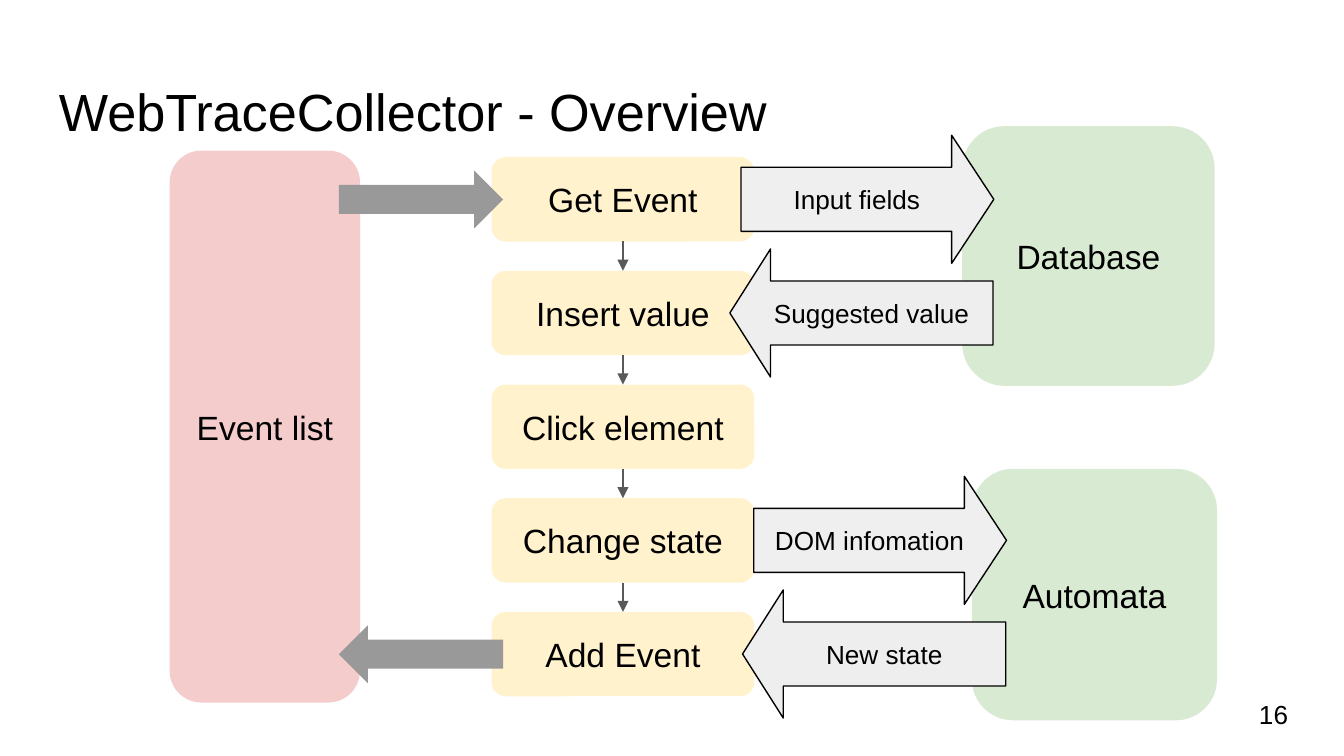
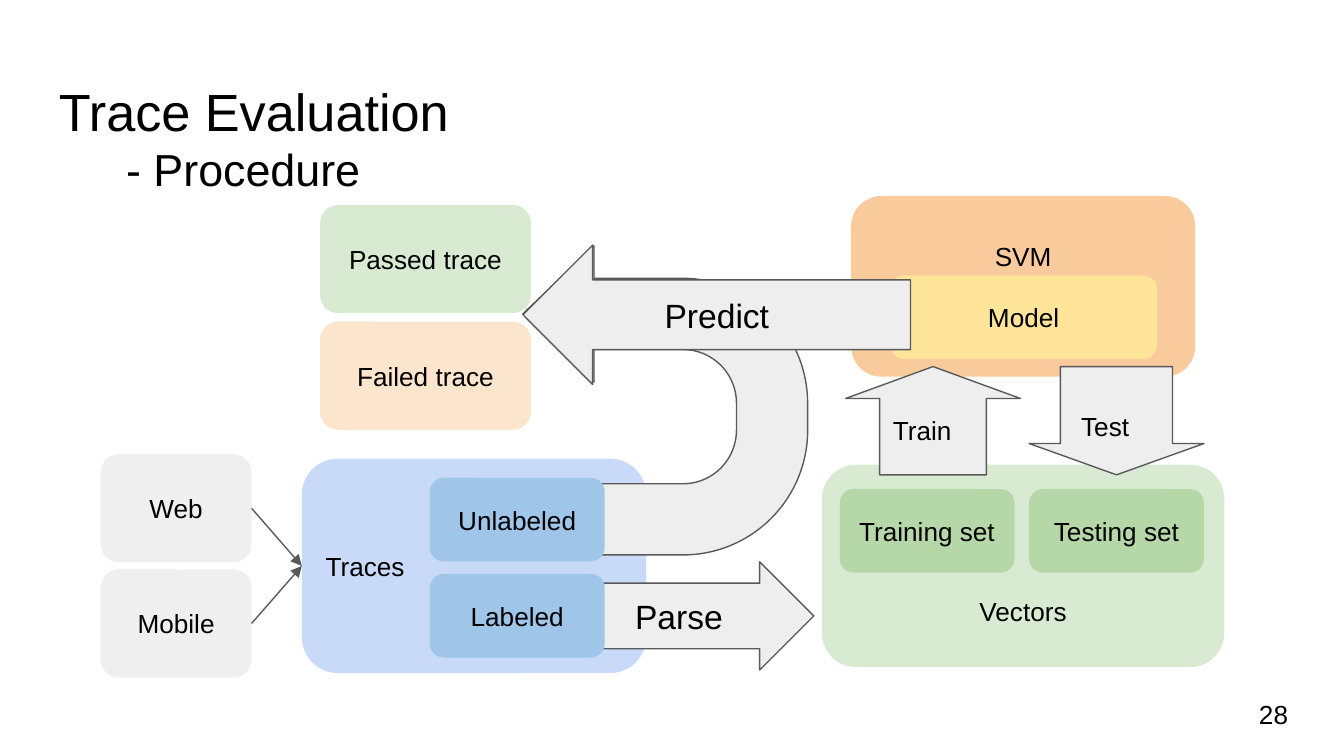
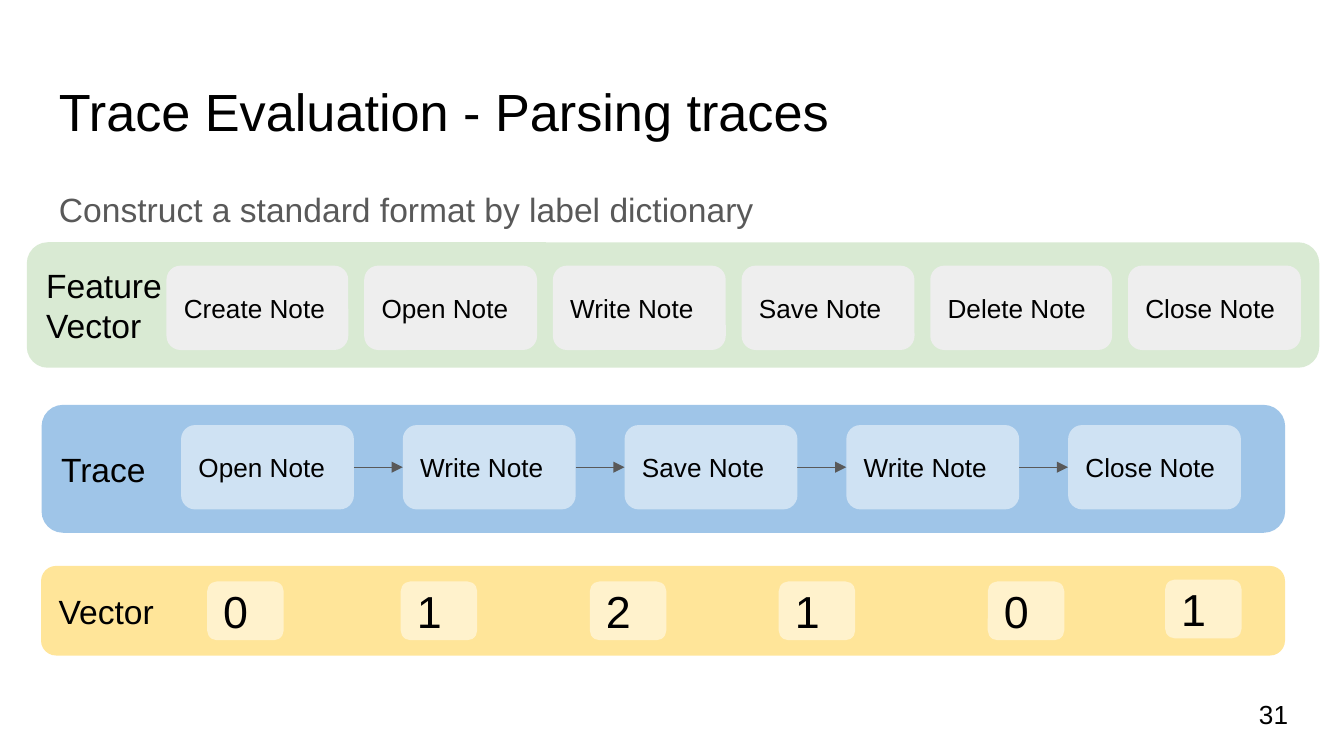
from dataclasses import dataclass

from lxml.etree import SubElement
from pptx import Presentation
from pptx.dml.color import RGBColor
from pptx.enum.shapes import MSO_CONNECTOR, MSO_SHAPE
from pptx.enum.text import MSO_ANCHOR, PP_ALIGN
from pptx.oxml.ns import qn
from pptx.util import Pt


@dataclass(frozen=True)
class Theme:
    font: str = "Arial"
    title: int = 28
    large: int = 24
    medium: int = 18
    small: int = 14
    inset: float = 7.2
    line: float = 0.75
    corner: float = 0.167
    black: str = "000000"
    dark: str = "595959"
    grey: str = "999999"
    silver: str = "EEEEEE"
    mist: str = "EFEFEF"
    pink: str = "F4CCCC"
    cream: str = "FFF2CC"
    yellow: str = "FFE599"
    mint: str = "D9EAD3"
    green: str = "B6D7A8"
    orange: str = "F9CB9C"
    peach: str = "FCE5CD"
    lavender: str = "C9DAF8"
    blue: str = "9FC5E8"
    sky: str = "CFE2F3"


T = Theme()
LEFT, CENTER = PP_ALIGN.LEFT, PP_ALIGN.CENTER


class Deck:
    def __init__(self, theme):
        self.theme = theme
        self.prs = Presentation()
        self.prs.slide_width, self.prs.slide_height = Pt(720), Pt(405)

    def slide(self, title, number, subtitle=None):
        self.s = self.prs.slides.add_slide(self.prs.slide_layouts[6])
        tf = self.text(24.5, 35.3, 671, 45.4, title, self.theme.title)
        if subtitle:
            p = tf.add_paragraph()
            self.style(p, subtitle, self.theme.large)
            p._p.get_or_add_pPr().set("indent", str(Pt(36)))
        self.text(667.4, 367.2, 43.2, 31, str(number), self.theme.small,
                  anchor=MSO_ANCHOR.MIDDLE)

    def style(self, p, text, size, color=None, align=LEFT):
        p.text = text
        p.alignment = align
        p.font.name = self.theme.font
        p.font.size = Pt(size)
        p.font.color.rgb = RGBColor.from_string(color or self.theme.black)

    def frame(self, tf, anchor, left=0, top=0, bottom=0):
        """Set wrapping, anchor and insets; the lengths add to the usual inset."""
        inset = self.theme.inset
        tf.word_wrap = True
        tf.vertical_anchor = anchor
        tf.margin_left, tf.margin_right = Pt(inset + left), Pt(inset)
        tf.margin_top, tf.margin_bottom = Pt(inset + top), Pt(inset + bottom)

    def text(self, x, y, w, h, text, size, color=None, anchor=MSO_ANCHOR.TOP):
        tf = self.s.shapes.add_textbox(Pt(x), Pt(y), Pt(w), Pt(h)).text_frame
        self.frame(tf, anchor)
        self.style(tf.paragraphs[0], text, size, color)
        return tf

    def shape(self, kind, x, y, w, h, fill, text="", size=T.small, align=CENTER,
              line=None, adj=(), **extra):
        sp = self.s.shapes.add_shape(kind, Pt(x), Pt(y), Pt(w), Pt(h))
        sp.shadow.inherit = False
        sp.fill.solid()
        sp.fill.fore_color.rgb = RGBColor.from_string(fill)
        if line:
            sp.line.color.rgb = RGBColor.from_string(line)
            sp.line.width = Pt(self.theme.line)
        else:
            sp.line.fill.background()
        for i, value in enumerate(adj):
            sp.adjustments[i] = value
        if text:
            tf = sp.text_frame
            self.frame(tf, MSO_ANCHOR.MIDDLE, **extra)
            for i, row in enumerate(text.split("\n")):
                p = tf.add_paragraph() if i else tf.paragraphs[0]
                self.style(p, row, size, align=align)
        return sp

    def box(self, *args, **kwargs):
        return self.shape(MSO_SHAPE.ROUNDED_RECTANGLE, *args,
                          adj=[self.theme.corner], **kwargs)

    def link(self, start, start_side, end, end_side):
        """Join two shapes with an arrow (sides: 0 top, 1 left, 2 bottom, 3 right)."""
        c = self.s.shapes.add_connector(MSO_CONNECTOR.STRAIGHT, 0, 0, 0, 0)
        c.begin_connect(start, start_side)
        c.end_connect(end, end_side)
        c.line.color.rgb = RGBColor.from_string(self.theme.dark)
        c.line.width = Pt(self.theme.line)
        SubElement(c.line._get_or_add_ln(), qn("a:tailEnd"), type="triangle")
        SubElement(c._element.spPr, qn("a:effectLst"))

    def chain(self, shapes, start_side, end_side):
        for a, b in zip(shapes, shapes[1:]):
            self.link(a, start_side, b, end_side)


def overview(d):
    d.slide("WebTraceCollector - Overview", 16)
    d.box(90.9, 80.7, 102, 295.7, T.pink, "Event list", T.medium)
    top, pitch = 84.2, 60.9
    names = ["Get Event", "Insert value", "Click element", "Change state", "Add Event"]
    steps = [d.box(263.4, top + i * pitch, 140.7, 45.2, T.cream, name, T.medium)
             for i, name in enumerate(names)]
    d.box(515.5, 67.6, 135.2, 139.1, T.mint, "Database", T.medium)
    d.chain(steps, 2, 0)
    d.box(520.7, 251.2, 131.3, 134.7, T.mint, "Automata", T.medium)

    right, left = MSO_SHAPE.RIGHT_ARROW, MSO_SHAPE.LEFT_ARROW
    for kind, y in [(right, 91.4), (left, 335)]:
        d.shape(kind, 181.6, y, 88, 31, T.grey)
    exchanges = [(right, 397, 0, "Input fields"), (left, 391, 1, "Suggested value"),
                 (right, 403.8, 3, "DOM infomation"), (left, 397.8, 4, "New state")]
    for kind, x, step, name in exchanges:
        w, fill, head = (135.4, T.mist, 0.329) if kind == right else (141, T.silver, 0.318)
        d.shape(kind, x, 72.5 + step * pitch, w, 68.6, fill, name,
                line=T.black, adj=[0.5, head])


def procedure(d):
    arrow = {"fill": T.silver, "line": T.dark, "align": LEFT}
    d.slide("Trace Evaluation", 28, "- Procedure")
    d.box(456, 105, 184.3, 96.8, T.orange, "SVM", bottom=32.2)
    d.box(476.9, 147.6, 143, 44.8, T.yellow, "Model")
    traces = d.box(161.7, 245.8, 184.5, 114.8, T.lavender, "Traces", align=LEFT)

    turn = d.shape(MSO_SHAPE.U_TURN_ARROW, 273.6, 138.2, 165.6, 152.6,
                   adj=[0.25, 0.239, 0.25, 0.438, 1], **arrow)
    turn.rotation = 90
    turn._element.spPr.xfrm.set("flipH", "1")
    d.shape(MSO_SHAPE.LEFT_ARROW, 280.2, 131.3, 207.6, 74.7, text="Predict",
            size=T.medium, left=50, **arrow)

    for name, y in [("Web", 243.3), ("Mobile", 305)]:
        d.link(d.box(54, y, 80.8, 58, T.mist, name), 3, traces, 1)
    for name, y, fill in [("Passed trace", 109.8, T.mint), ("Failed trace", 172.3, T.peach)]:
        d.box(171.5, y, 113, 58, fill, name)

    d.box(440.4, 249, 215.5, 108.4, T.mint, "Vectors", top=48.3)
    for name, x in [("Training set", 449.8), ("Testing set", 551.3)]:
        d.box(x, 262, 93.7, 44.8, T.green, name)
    d.shape(MSO_SHAPE.DOWN_ARROW, 551.3, 196.4, 93.7, 58, text="Test",
            adj=[0.641, 0.289], left=3.9, top=16.1, **arrow)
    d.shape(MSO_SHAPE.UP_ARROW, 453, 196.4, 93.7, 58, text="Train",
            adj=[0.611, 0.295], **arrow)
    d.shape(MSO_SHAPE.RIGHT_ARROW, 323, 301, 113, 58, text="Parse", size=T.medium,
            adj=[0.606, 0.5], left=10, **arrow)
    for name, y in [("Labeled", 307.5), ("Unlabeled", 256)]:
        d.box(230.3, y, 93.7, 44.8, T.blue, name)


def parsing(d):
    features = ["Create Note", "Open Note", "Write Note",
                "Save Note", "Delete Note", "Close Note"]
    trace = ["Open Note", "Write Note", "Save Note", "Write Note", "Close Note"]
    note_w, wide_w, note_h, gap = 92.6, 97.4, 45.2, 8.5

    d.slide("Trace Evaluation - Parsing traces", 31)
    tf = d.text(24.5, 90.7, 671, 269, "Construct a standard format by label dictionary",
                T.medium, T.dark)
    tf.paragraphs[0].line_spacing = 1.15
    tf.paragraphs[0].space_after = Pt(16)

    d.box(14.4, 129.8, 692.4, 67.2, T.mint, "Feature\nVector", T.medium, LEFT)
    x = 89.2
    for name in features:
        w = wide_w if name in ("Create Note", "Delete Note") else note_w
        d.box(x, 142.3, w, note_h, T.silver, name, align=LEFT)
        x += w + gap

    d.box(22.3, 216.9, 666.2, 68.5, T.blue, "Trace", T.medium, LEFT)
    events = [d.box(97 + i * 118.8, 227.7, note_w, note_h, T.sky, name, align=LEFT)
              for i, name in enumerate(trace)]
    d.chain(events, 3, 1)

    d.box(22, 303.2, 666.4, 48, T.yellow, "Vector", T.medium, LEFT)
    count_places = [(111, 311.5), (214.7, 311.5), (316, 311.5),
                    (417.2, 311.5), (529.2, 311.5), (624.2, 310.5)]
    for name, (x, y) in zip(features, count_places):
        d.box(x, y, 41, 31.5, T.cream, str(trace.count(name)), T.large, LEFT)


def main():
    d = Deck(T)
    overview(d)
    procedure(d)
    parsing(d)
    d.prs.save("out.pptx")


if __name__ == "__main__":
    main()
